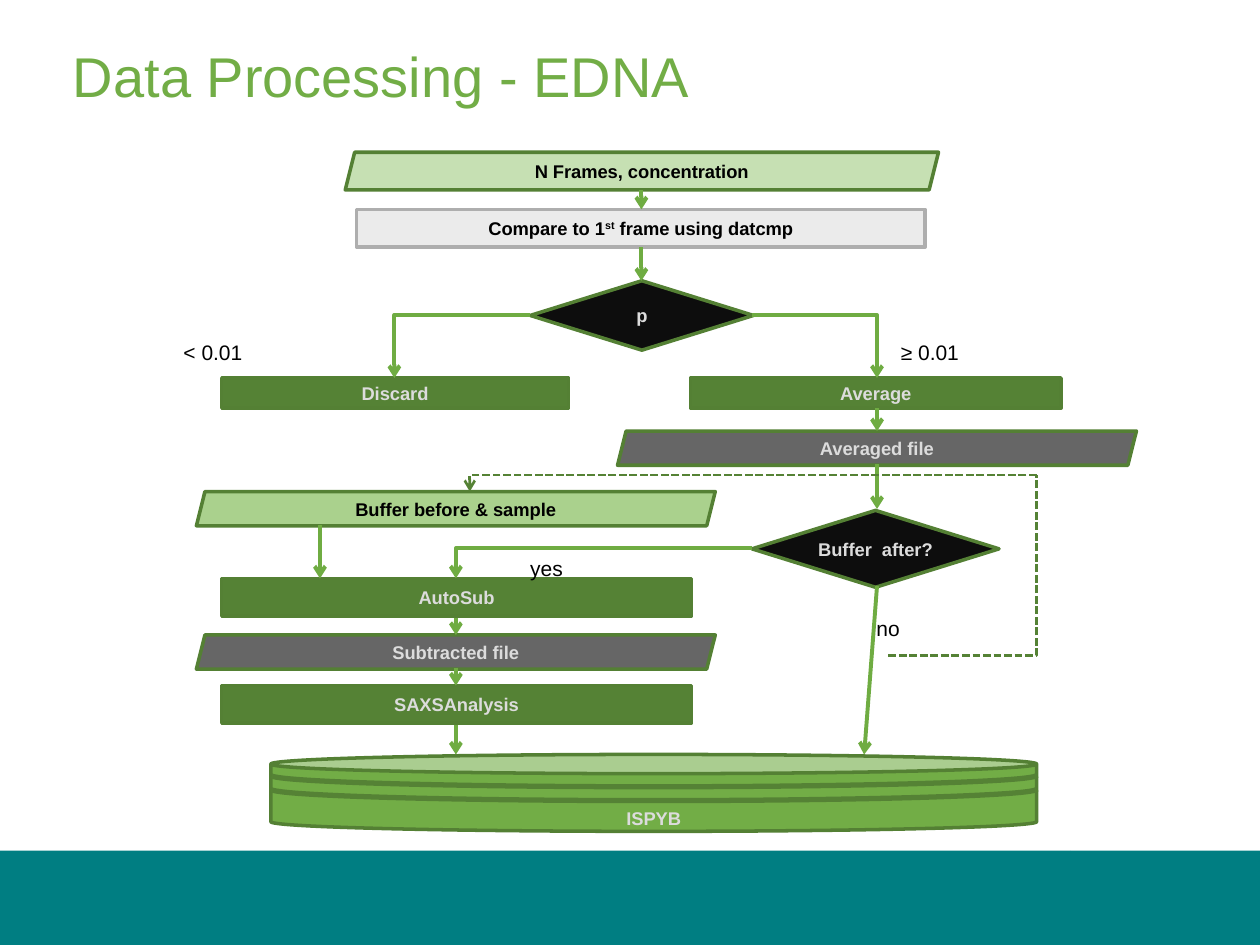
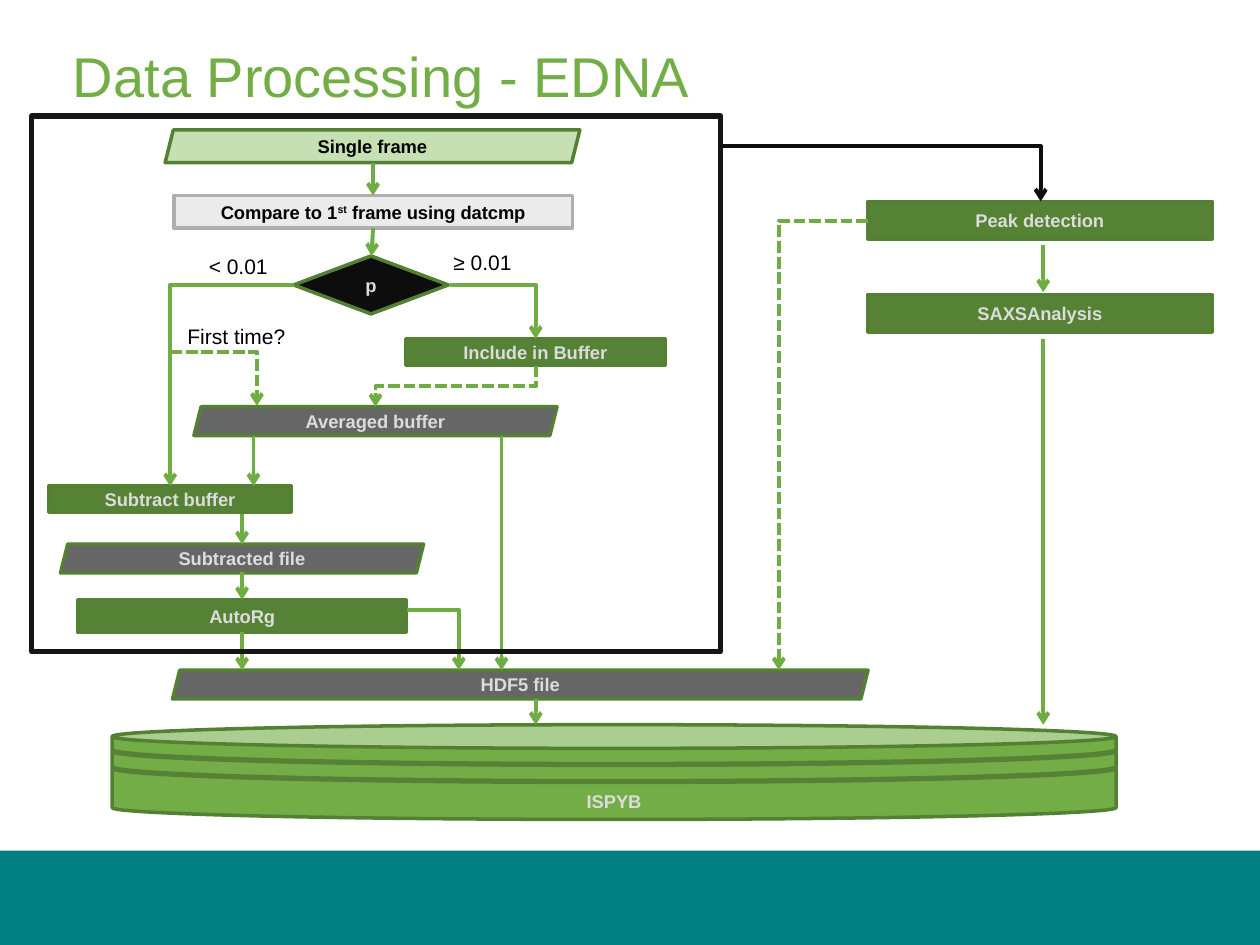
"""Build two flowchart slides of the EDNA data processing pipeline."""
from lxml.etree import SubElement
from pptx import Presentation
from pptx.dml.color import RGBColor
from pptx.enum.dml import MSO_LINE
from pptx.enum.shapes import MSO_CONNECTOR, MSO_SHAPE
from pptx.enum.text import MSO_ANCHOR, MSO_AUTO_SIZE, PP_ALIGN
from pptx.oxml.ns import qn
from pptx.util import Cm, Pt

FONT = "Arial"
TITLE = "Data Processing - EDNA"
TEAL = RGBColor(0x00, 0x7E, 0x82)
GREEN = RGBColor(0x72, 0xAD, 0x46)
ARROW_GREEN = RGBColor(0x6F, 0xAC, 0x42)
DARK_GREEN = RGBColor(0x55, 0x82, 0x35)
OUTLINE_GREEN = RGBColor(0x54, 0x80, 0x34)
PALE_GREEN = RGBColor(0xC6, 0xE0, 0xB3)
LIGHT_GREEN = RGBColor(0xAA, 0xD1, 0x8D)
PALE_GREY = RGBColor(0xEB, 0xEB, 0xEB)
MID_GREY = RGBColor(0xAE, 0xAE, 0xAE)
DARK_GREY = RGBColor(0x66, 0x66, 0x66)
TEXT_GREY = RGBColor(0xDC, 0xDC, 0xDC)
NEAR_BLACK = RGBColor(0x0D, 0x0D, 0x0D)
FRAME_BLACK = RGBColor(0x16, 0x16, 0x16)
BLACK = RGBColor(0x00, 0x00, 0x00)

STEP_STYLES = {
    "input": (MSO_SHAPE.PARALLELOGRAM, PALE_GREEN, OUTLINE_GREEN, BLACK),
    "buffer": (MSO_SHAPE.PARALLELOGRAM, LIGHT_GREEN, OUTLINE_GREEN, BLACK),
    "file": (MSO_SHAPE.PARALLELOGRAM, DARK_GREY, OUTLINE_GREEN, TEXT_GREY),
    "compare": (MSO_SHAPE.RECTANGLE, PALE_GREY, MID_GREY, BLACK),
    "task": (MSO_SHAPE.RECTANGLE, DARK_GREEN, OUTLINE_GREEN, TEXT_GREY),
    "decision": (MSO_SHAPE.DIAMOND, NEAR_BLACK, OUTLINE_GREEN, TEXT_GREY),
    "store": (MSO_SHAPE.CAN, GREEN, OUTLINE_GREEN, TEXT_GREY),
}
COMPARISON = "Compare to 1^st^ frame using datcmp"

SAMPLE_FLOW = {
    "steps": [
        ("input", "N Frames, concentration", 6.96, 3.07, 11.96, 0.76),
        ("compare", COMPARISON, 7.19, 4.22, 11.46, 0.76),
        ("decision", "p", 10.69, 5.66, 4.5, 1.4),
        ("task", "Average", 13.92, 7.62, 7.47, 0.61),
        ("task", "Discard", 4.47, 7.62, 6.99, 0.61),
        ("file", "Averaged file", 12.45, 8.69, 10.46, 0.69),
        ("task", "AutoSub", 4.47, 11.66, 9.47, 0.76),
        ("task", "SAXSAnalysis", 4.47, 13.82, 9.47, 0.76),
        ("file", "Subtracted file", 3.96, 12.8, 10.46, 0.69),
        ("store", "ISPYB", 5.46, 15.21, 15.44, 1.55),
        ("decision", "Buffer  after?", 15.16, 10.29, 4.98, 1.55),
        ("buffer", "Buffer before & sample", 3.96, 9.91, 10.46, 0.69),
    ],
    "straight": [
        (12.93, 3.84, 12.93, 4.22), (12.93, 4.98, 12.93, 5.66),
        (17.68, 8.23, 17.68, 8.69), (17.68, 9.35, 17.68, 10.26),
        (17.68, 11.81, 17.42, 15.21), (6.45, 10.59, 6.45, 11.66),
        (9.19, 12.45, 9.19, 12.8), (9.19, 13.46, 9.19, 13.82),
        (9.19, 14.61, 9.19, 15.21),
    ],
    "corner": [
        (10.69, 6.35, 7.95, 7.62), (15.16, 6.35, 17.68, 7.62),
        (15.16, 11.05, 9.19, 11.66),
    ],
    "labels": [
        ("< 0.01", 3.45, 6.73, 4.98), ("≥ 0.01", 17.91, 6.73, 4.98),
        ("no", 17.42, 12.29, 4.98), ("yes", 10.44, 11.07, 4.98),
    ],
}
FRAME_FLOW = {
    "steps": [
        ("store", "ISPYB", 2.26, 14.61, 20.24, 1.91),
        ("file", "HDF5 file", 3.48, 13.51, 14.02, 0.58),
        ("task", "AutoRg", 1.57, 12.09, 6.63, 0.66),
        ("input", "Single frame", 3.33, 2.62, 8.36, 0.66),
        ("compare", COMPARISON, 3.51, 3.94, 8.03, 0.66),
        ("decision", "p", 5.92, 5.16, 3.12, 1.17),
        ("task", "Include in Buffer", 8.18, 6.83, 5.23, 0.53),
        ("task", "Subtract buffer", 0.99, 9.8, 4.88, 0.53),
        ("file", "Averaged buffer", 3.91, 8.2, 7.32, 0.58),
        ("file", "Subtracted file", 1.22, 10.97, 7.32, 0.58),
        ("task", "SAXSAnalysis", 17.5, 5.94, 6.93, 0.76),
        ("task", "Peak detection", 17.5, 4.06, 6.93, 0.76),
    ],
    "straight": [
        (10.11, 8.79, 10.11, 13.51), (7.52, 3.28, 7.52, 3.94),
        (7.52, 4.6, 7.49, 5.16), (4.88, 10.36, 4.88, 10.97),
        (4.88, 11.53, 4.88, 12.09), (5.11, 8.79, 5.11, 9.8),
        (4.88, 12.75, 4.88, 13.51), (21.03, 6.83, 21.03, 14.61),
        (10.8, 14.1, 10.8, 14.61), (21.03, 4.93, 21.03, 5.89),
    ],
    "corner": [
        (8.2, 12.29, 9.25, 13.51), (5.92, 5.74, 3.43, 9.8),
        (9.07, 5.74, 10.8, 6.83),
    ],
    "labels": [
        ("< 0.01", 3.96, 4.98, 3.48), ("≥ 0.01", 8.89, 4.9, 3.48),
        ("First time?", 3.53, 6.4, 3.48),
    ],
}


def add_step(slide, kind, text, left, top, width, height):
    """Add one flowchart step, with ^ around superscript text."""
    preset, fill, outline, ink = STEP_STYLES[kind]
    step = slide.shapes.add_shape(preset, Cm(left), Cm(top), Cm(width), Cm(height))
    step.shadow.inherit = False
    step.fill.solid()
    step.fill.fore_color.rgb = fill
    step.line.color.rgb = outline
    step.line.width = Pt(2)
    frame = step.text_frame
    frame.word_wrap = True
    frame.margin_left = frame.margin_right = frame.margin_top = frame.margin_bottom = 0
    frame.vertical_anchor = MSO_ANCHOR.MIDDLE
    paragraph = frame.paragraphs[0]
    paragraph.alignment = PP_ALIGN.CENTER
    for index, piece in enumerate(text.split("^")):
        run = paragraph.add_run()
        run.text = piece
        run.font.name = FONT
        run.font.size = Pt(10.5)
        run.font.bold = True
        run.font.color.rgb = ink
        if index % 2:
            run.font._element.set("baseline", "30000")
    if kind == "store":
        frame.vertical_anchor = MSO_ANCHOR.TOP
        frame.margin_top = Cm(0.44 * height)
        for drop in (0.12, 0.3):
            ring = slide.shapes.add_shape(MSO_SHAPE.ARC, Cm(left), Cm(top + drop * height),
                                          Cm(width), Cm(0.3 * height))
            ring.adjustments[0] = 108.058
            ring.adjustments[1] = 0
            ring._element.spPr.xfrm.set("flipV", "1")
            ring.shadow.inherit = False
            ring.fill.background()
            ring.line.color.rgb = DARK_GREEN
            ring.line.width = Pt(3)


def add_route(slide, course, x1, y1, x2, y2, color=ARROW_GREEN, weight=2.25,
              dashed=False, head=True):
    """Add a straight, corner (across, then down) or step (down, across, down) route."""
    ends, turn = (x1, y1, x2, y2), 0
    if course == "corner" and x2 < x1:
        ends, turn = (x2, y2, x1, y1), 180
    elif course == "step":
        mid_x, mid_y = (x1 + x2) / 2, (y1 + y2) / 2
        half_x, half_y = abs(x2 - x1) / 2, abs(y2 - y1) / 2
        ends = (mid_x - half_y, mid_y - half_x, mid_x + half_y, mid_y + half_x)
        turn = 90
    kind = MSO_CONNECTOR.STRAIGHT if course == "straight" else MSO_CONNECTOR.ELBOW
    route = slide.shapes.add_connector(kind, *[Cm(end) for end in ends])
    properties = route._element.spPr
    if course == "corner":
        properties.find(qn("a:prstGeom")).set("prst", "bentConnector2")
    if turn:
        properties.find(qn("a:xfrm")).set("rot", str(turn * 60000))
    route.line.color.rgb = color
    route.line.width = Pt(weight)
    if dashed:
        route.line.dash_style = MSO_LINE.SQUARE_DOT
    if head:
        SubElement(properties.find(qn("a:ln")), qn("a:tailEnd"), type="arrow")
    SubElement(properties, qn("a:effectLst"))


deck = Presentation()
deck.slide_width, deck.slide_height = Cm(25.4), Cm(19.05)

slides = []
for flow in (SAMPLE_FLOW, FRAME_FLOW):
    slide = deck.slides.add_slide(deck.slide_layouts[5])
    slides.append(slide)

    for left, width in ((0, 21.59), (21.59, 3.81)):
        band = slide.shapes.add_shape(MSO_SHAPE.RECTANGLE, Cm(left), Cm(17.15),
                                      Cm(width), Cm(1.9))
        band.shadow.inherit = False
        band.fill.solid()
        band.fill.fore_color.rgb = TEAL
        band.line.fill.background()

    title = slide.shapes.title
    title.left, title.top, title.width, title.height = Cm(1.47), Cm(0.84), Cm(22.66), Cm(2.11)
    heading = title.text_frame
    heading.text = TITLE
    heading.auto_size = MSO_AUTO_SIZE.NONE
    heading.vertical_anchor = MSO_ANCHOR.TOP
    heading.margin_left = heading.margin_right = heading.margin_top = heading.margin_bottom = 0
    heading.paragraphs[0].alignment = PP_ALIGN.LEFT
    heading_font = heading.paragraphs[0].runs[0].font
    heading_font.name = FONT
    heading_font.size = Pt(32)
    heading_font.color.rgb = GREEN

    for step in flow["steps"]:
        add_step(slide, *step)
    for course in ("straight", "corner"):
        for ends in flow[course]:
            add_route(slide, course, *ends)
    for text, left, top, width in flow["labels"]:
        label = slide.shapes.add_textbox(Cm(left), Cm(top), Cm(width), Cm(0.58))
        label.text_frame.word_wrap = True
        label.text_frame.text = text
        label_font = label.text_frame.paragraphs[0].runs[0].font
        label_font.name = FONT
        label_font.size = Pt(12)
        label_font.color.rgb = BLACK

sample_slide, frame_slide = slides

add_route(sample_slide, "corner", 17.91, 13.21, 20.9, 9.58, DARK_GREEN, 1.5, True, False)
add_route(sample_slide, "corner", 20.9, 9.58, 9.47, 9.91, DARK_GREEN, 1.5, True)

frame_loop = frame_slide.shapes.add_shape(MSO_SHAPE.RECTANGLE, Cm(0.64), Cm(2.34),
                                          Cm(13.89), Cm(10.8))
frame_loop.shadow.inherit = False
frame_loop.fill.background()
frame_loop.line.color.rgb = FRAME_BLACK
frame_loop.line.width = Pt(3)
add_route(frame_slide, "step", 10.8, 7.37, 7.57, 8.2, dashed=True)
add_route(frame_slide, "corner", 3.43, 7.09, 5.18, 8.18, dashed=True)
add_route(frame_slide, "corner", 17.5, 4.45, 15.7, 13.51, dashed=True)
add_route(frame_slide, "corner", 14.53, 2.95, 20.98, 4.06, NEAR_BLACK)

deck.save("out.pptx")
